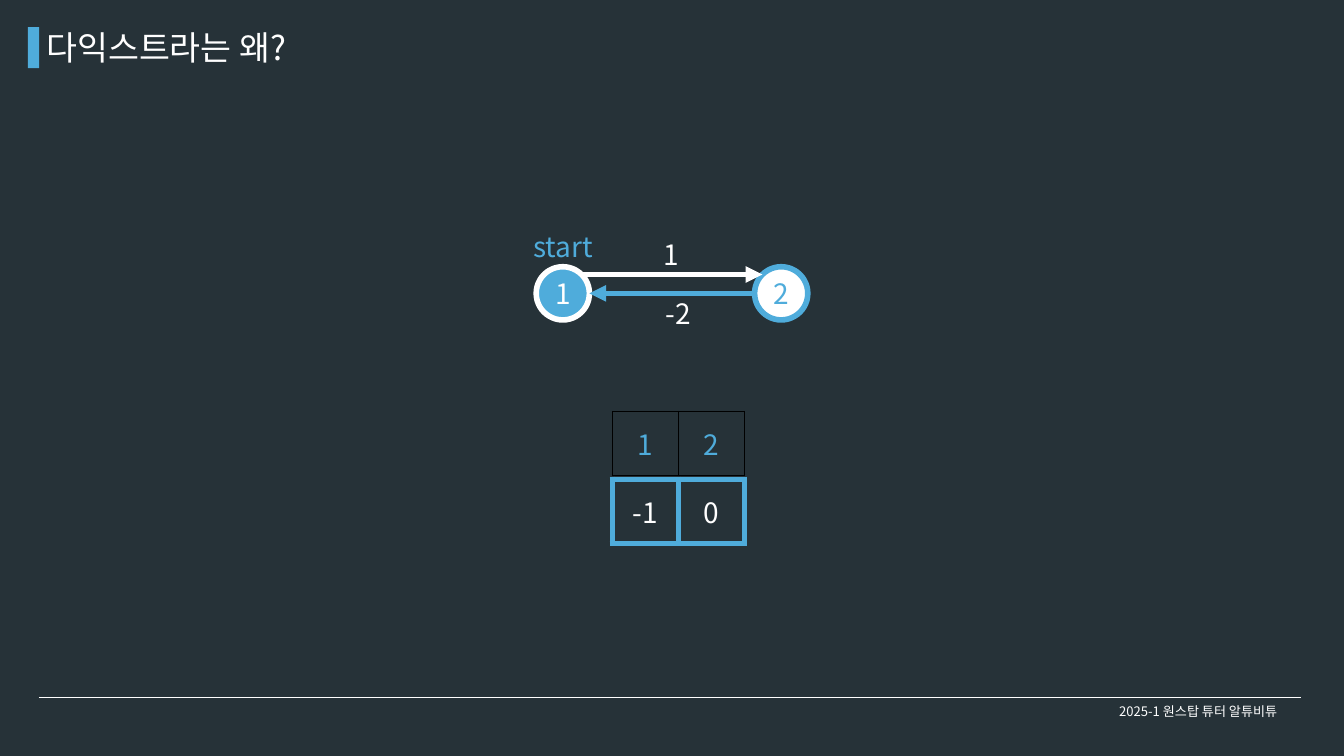
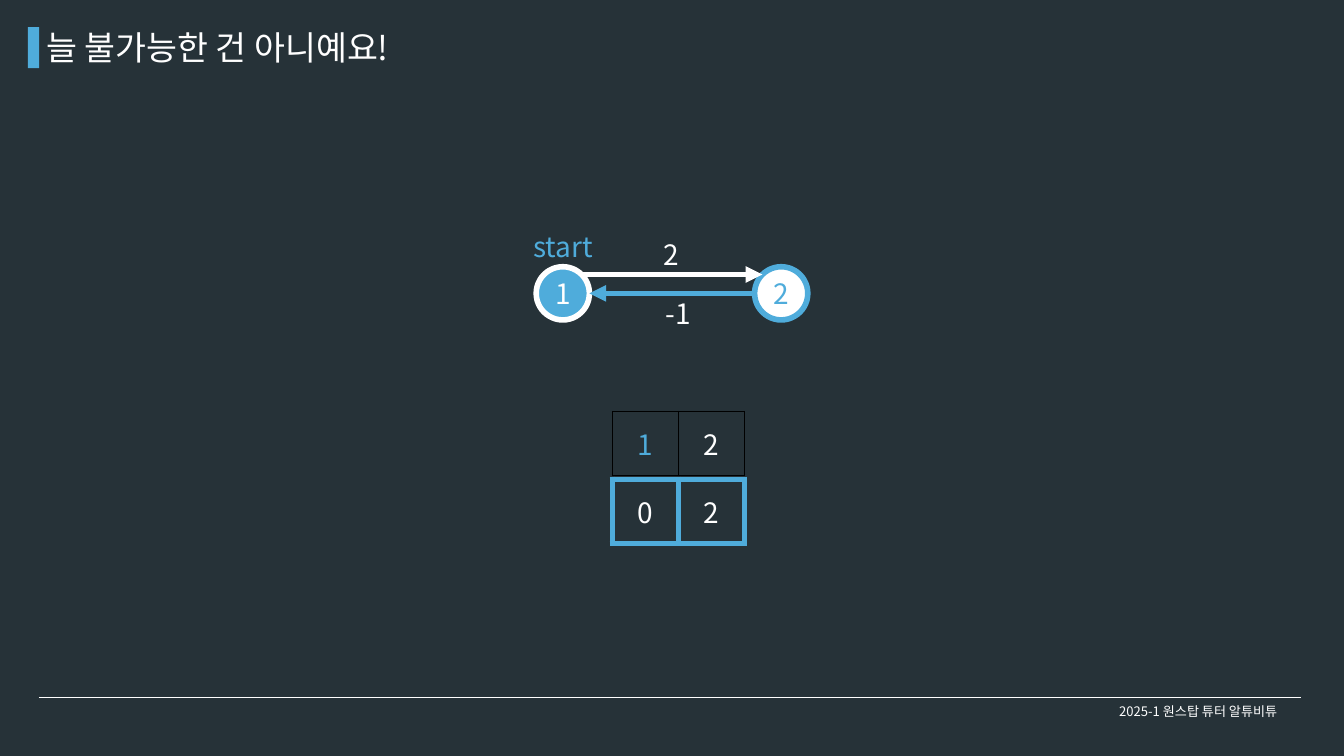
from dataclasses import dataclass
from math import sqrt

from lxml import etree
from pptx import Presentation
from pptx.dml.color import RGBColor
from pptx.enum import shapes, text
from pptx.oxml.ns import qn
from pptx.util import Pt

# Shared style
DARK = RGBColor(0x26, 0x32, 0x38)
BLUE = RGBColor(0x4F, 0xAC, 0xDB)
WHITE = RGBColor(0xFF, 0xFF, 0xFF)
BLACK = RGBColor(0x00, 0x00, 0x00)
FONT = "Noto Sans CJK KR"
FOOTER = "2025-1 원스탑 튜터 알튜비튜"
TITLE_SIZE, BODY_SIZE, FOOTER_SIZE = 36, 30, 14
INSET = 3.6
THICK = 6
LEFT, CENTER = text.PP_ALIGN.LEFT, text.PP_ALIGN.CENTER
TOP, MIDDLE = text.MSO_ANCHOR.TOP, text.MSO_ANCHOR.MIDDLE

# Graph and table geometry, in points
NODE_SIZE = 57
NODE_TOP = 285.8
NODE_LEFTS = (574.5, 808.5)
CELL_WIDTH, CELL_HEIGHT = 70.9, 69.1
TABLE_LEFT, HEADER_TOP, DISTANCE_TOP = 655.9, 440.6, 513.4


@dataclass
class Cell:
    label: str
    color: RGBColor = WHITE


@dataclass
class Example:
    title: str
    forward_weight: str
    back_weight: str
    header: list[Cell]
    distances: list[Cell]


EXAMPLES = [
    Example("다익스트라는 왜?", "1", "-2",
            [Cell("1", BLUE), Cell("2", BLUE)], [Cell("-1"), Cell("0")]),
    Example("늘 불가능한 건 아니예요!", "2", "-1",
            [Cell("1", BLUE), Cell("2")], [Cell("0"), Cell("2")]),
]


def write(frame, label: str, size: float, color: RGBColor, align=CENTER) -> None:
    frame.text = label
    para = frame.paragraphs[0]
    para.alignment = align
    for span in para.runs:
        font = span.font
        font.size, font.name, font.bold = Pt(size), FONT, False
        font.color.rgb = color
        east_asian = etree.SubElement(span._r.get_or_add_rPr(), qn("a:ea"))
        east_asian.set("typeface", FONT)


def set_frame(frame, anchor, wrap: bool = True, inset: float = INSET) -> None:
    frame.margin_left = frame.margin_right = Pt(inset)
    frame.margin_top = frame.margin_bottom = Pt(inset)
    frame.vertical_anchor = anchor
    frame.word_wrap = wrap


def add_label(page, place: tuple, label: str, color: RGBColor = WHITE,
              size: float = BODY_SIZE, align=CENTER, anchor=TOP, wrap: bool = True) -> None:
    box = page.shapes.add_textbox(*map(Pt, place))
    set_frame(box.text_frame, anchor, wrap)
    box.text_frame.auto_size = text.MSO_AUTO_SIZE.SHAPE_TO_FIT_TEXT
    write(box.text_frame, label, size, color, align)


def add_line(page, ends: tuple, color: RGBColor, width: float, arrow: bool = False) -> None:
    line = page.shapes.add_connector(shapes.MSO_CONNECTOR.STRAIGHT, *map(Pt, ends))
    line.line.color.rgb = color
    line.line.width = Pt(width)
    properties = line._element.spPr
    if arrow:
        etree.SubElement(properties.find(qn("a:ln")), qn("a:tailEnd")).set("type", "triangle")
    etree.SubElement(properties, qn("a:effectLst"))


def add_node(page, left: float, label: str, fill: RGBColor, accent: RGBColor) -> None:
    node = page.shapes.add_shape(shapes.MSO_SHAPE.OVAL, Pt(left), Pt(NODE_TOP),
                                 Pt(NODE_SIZE), Pt(NODE_SIZE))
    node.shadow.inherit = False
    node.fill.solid()
    node.fill.fore_color.rgb = fill
    node.line.color.rgb = accent
    node.line.width = Pt(THICK)
    set_frame(node.text_frame, MIDDLE, inset=0)
    write(node.text_frame, label, BODY_SIZE, accent)


def set_borders(cell, color: RGBColor, width: float) -> None:
    properties = cell._tc.get_or_add_tcPr()
    for index, side in enumerate(("lnL", "lnR", "lnT", "lnB")):
        border = etree.Element(qn(f"a:{side}"), w=str(Pt(width)))
        fill = etree.SubElement(border, qn("a:solidFill"))
        etree.SubElement(fill, qn("a:srgbClr"), val=str(color))
        properties.insert(index, border)


def add_row(page, top: float, cells: list[Cell], border: RGBColor, width: float) -> None:
    table = page.shapes.add_table(1, len(cells), Pt(TABLE_LEFT), Pt(top),
                                  Pt(CELL_WIDTH * len(cells)), Pt(CELL_HEIGHT)).table
    table.first_row = table.horz_banding = False
    for column, content in enumerate(cells):
        table.columns[column].width = Pt(CELL_WIDTH)
        cell = table.cell(0, column)
        cell.fill.background()
        cell.margin_left = cell.margin_right = Pt(INSET)
        cell.margin_top = cell.margin_bottom = Pt(INSET)
        cell.vertical_anchor = MIDDLE
        write(cell.text_frame, content.label, BODY_SIZE, content.color)
        set_borders(cell, border, width)


def add_frame(page, title: str) -> None:
    # Footer rule, title band and footer
    add_line(page, (41.8, 747.4, 1393.9, 747.4), WHITE, 0.75)
    band = page.shapes.add_shape(shapes.MSO_SHAPE.RECTANGLE, Pt(30), Pt(29), Pt(12), Pt(44))
    band.shadow.inherit = False
    band.fill.solid()
    band.fill.fore_color.rgb = BLUE
    band.line.fill.background()
    add_label(page, (1143.4, 751, 280.8, 23), FOOTER, size=FOOTER_SIZE, anchor=MIDDLE)

    # Title
    box = page.shapes.title
    box.left, box.top, box.width, box.height = map(Pt, (46, 25.2, 676.8, 46.8))
    set_frame(box.text_frame, TOP)
    box.text_frame.auto_size = text.MSO_AUTO_SIZE.NONE
    write(box.text_frame, title, TITLE_SIZE, WHITE, LEFT)


def add_graph(page, example: Example) -> None:
    first, second = NODE_LEFTS
    radius = NODE_SIZE / 2
    center = NODE_TOP + radius
    diagonal = radius / sqrt(2)
    add_node(page, first, "1", BLUE, WHITE)
    add_node(page, second, "2", WHITE, BLUE)

    # Forward edge joins the upper diagonals, back edge the facing sides
    upper = center - diagonal
    add_line(page, (first + radius + diagonal, upper, second + radius - diagonal, upper),
             WHITE, THICK, arrow=True)
    add_label(page, (707, 251.3, 26.6, 41), example.forward_weight, align=LEFT, wrap=False)
    add_line(page, (second, center, first + NODE_SIZE, center), BLUE, THICK, arrow=True)
    add_label(page, (709.9, 313.9, 38.9, 41), example.back_weight, align=LEFT, wrap=False)
    add_label(page, (538.6, 242.6, 128.9, 41), "start", BLUE)


def main() -> None:
    deck = Presentation()
    deck.slide_width, deck.slide_height = Pt(1440), Pt(810)
    background = deck.slide_master.background.fill
    background.solid()
    background.fore_color.rgb = DARK
    title_only = deck.slide_layouts[5]
    for example in EXAMPLES:
        page = deck.slides.add_slide(title_only)
        add_frame(page, example.title)
        add_row(page, DISTANCE_TOP, example.distances, BLUE, THICK)
        add_row(page, HEADER_TOP, example.header, BLACK, 1)
        add_graph(page, example)
    deck.save("out.pptx")


if __name__ == "__main__":
    main()
